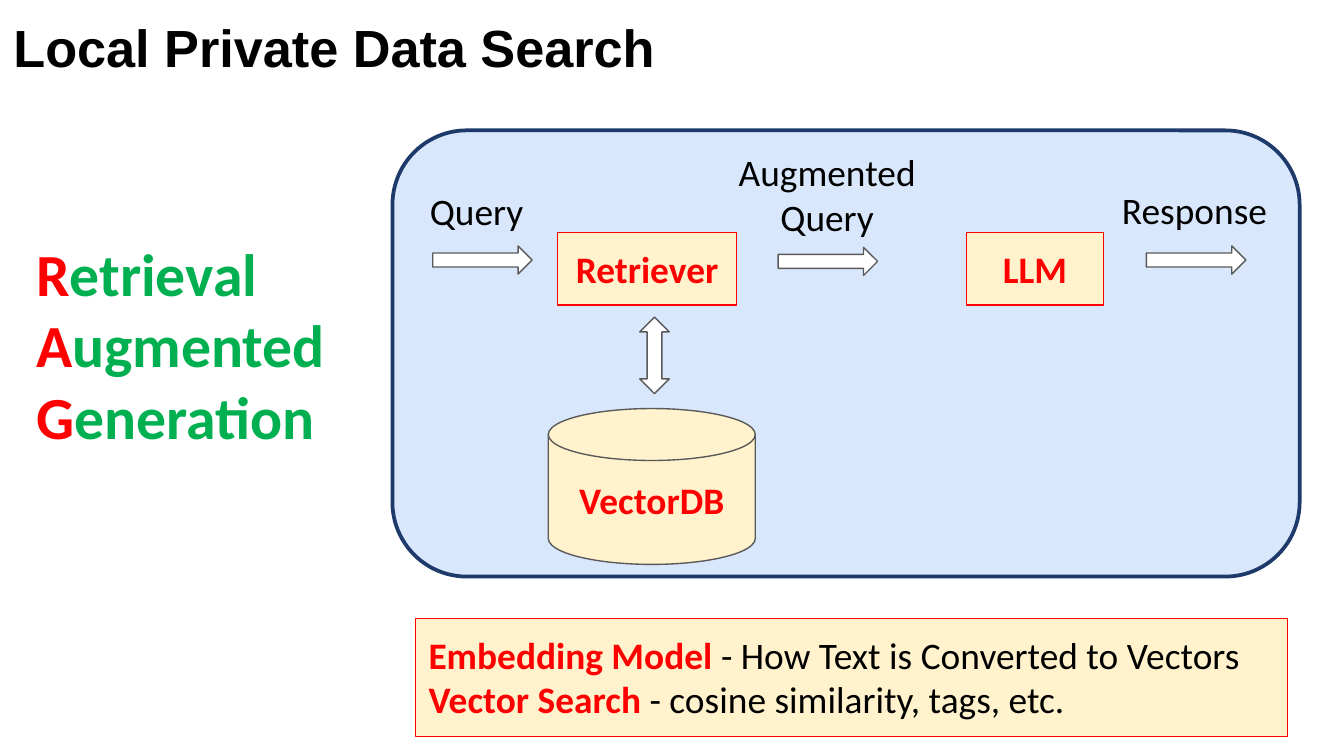
from typing import NamedTuple

from pptx import Presentation
from pptx.dml.color import RGBColor
from pptx.enum.shapes import MSO_SHAPE
from pptx.enum.text import MSO_ANCHOR, PP_ALIGN
from pptx.util import Inches, Pt

COLORS = {
    "black": "000000", "white": "FFFFFF", "red": "FF0000", "green": "00B050",
    "panel": "D9E7FD", "navy": "1D3A6B", "cream": "FFF2CC", "gray": "595959",
}


class Box(NamedTuple):
    left: float
    top: float
    width: float
    height: float

    def emu(self) -> list:
        return [Inches(v) for v in self]


class Run(NamedTuple):
    text: str
    color: str = "black"
    bold: bool = False


class Node(NamedTuple):
    box: Box
    label: str
    kind: MSO_SHAPE = MSO_SHAPE.RECTANGLE
    line: str = "red"


class Label(NamedTuple):
    box: Box
    lines: list
    align: PP_ALIGN = PP_ALIGN.LEFT


def rgb(name: str) -> RGBColor:
    return RGBColor.from_string(COLORS[name])


def write(sp, lines: list, *, size: float = 20, font: str = "Calibri",
          align=PP_ALIGN.LEFT, anchor=MSO_ANCHOR.TOP, inset: float = 0.1) -> None:
    """Fill a shape with paragraphs, each given as a list of runs."""
    tf = sp.text_frame
    tf.word_wrap = True
    tf.vertical_anchor = anchor
    tf.margin_left = tf.margin_right = Inches(0.1)
    tf.margin_top = tf.margin_bottom = Inches(inset)
    for i, runs in enumerate(lines):
        p = tf.add_paragraph() if i else tf.paragraphs[0]
        p.alignment = align
        for run in runs:
            r = p.add_run()
            r.text = run.text
            r.font.name, r.font.size, r.font.bold = font, Pt(size), run.bold
            r.font.color.rgb = rgb(run.color)


def add_shape(s, kind: MSO_SHAPE, box: Box, fill: str, line: str, width: float = 0.75):
    sp = s.shapes.add_shape(kind, *box.emu())
    sp.shadow.inherit = False
    sp.fill.solid()
    sp.fill.fore_color.rgb = rgb(fill)
    sp.line.color.rgb = rgb(line)
    sp.line.width = Pt(width)
    return sp


def add_node(s, node: Node) -> None:
    sp = add_shape(s, node.kind, node.box, "cream", node.line)
    write(sp, [[Run(node.label, "red", True)]], align=PP_ALIGN.CENTER,
          anchor=MSO_ANCHOR.MIDDLE)


def add_label(s, label: Label, size: float = 20) -> None:
    write(s.shapes.add_textbox(*label.box.emu()), label.lines, size=size, align=label.align)


NODES = [
    Node(Box(4.15, 1.73, 1.33, 0.54), "Retriever"),
    Node(Box(7.19, 1.73, 1.02, 0.54), "LLM"),
    Node(Box(4.08, 3.04, 1.54, 1.16), "VectorDB", MSO_SHAPE.FLOWCHART_MAGNETIC_DISK, "gray"),
]
FLOW_ARROWS = [(3.22, 1.83), (5.79, 1.84), (8.53, 1.83)]
LABELS = [
    Label(Box(3.1, 1.3, 1.07, 0.54), [[Run("Query")]]),
    Label(Box(5.39, 1.01, 1.53, 0.88), [[Run("Augmented")], [Run("Query")]], PP_ALIGN.CENTER),
    Label(Box(8.25, 1.29, 1.44, 0.54), [[Run("Response")]]),
]
RAG_WORDS = ["Retrieval", "Augmented", "Generation"]
NOTES = [
    ("Embedding Model", " - How Text is Converted to Vectors"),
    ("Vector Search", " - cosine similarity, tags, etc."),
]


def main() -> None:
    prs = Presentation()
    prs.slide_width = Inches(10)
    prs.slide_height = prs.slide_width * 9 // 16
    s = prs.slides.add_slide(prs.slide_layouts[5])

    title = s.shapes.title
    title.left, title.top, title.width, title.height = Box(0, 0.06, 5.79, 0.57).emu()
    write(title, [[Run("Local Private Data Search", bold=True)]],
          size=28, font="Arial", inset=0.05)

    add_shape(s, MSO_SHAPE.ROUNDED_RECTANGLE, Box(2.92, 0.97, 6.75, 3.32), "panel", "navy", 2)
    rag = [[Run(w[0], "red", True), Run(w[1:], "green", True)] for w in RAG_WORDS]
    add_label(s, Label(Box(0.17, 1.66, 2.56, 1.82), rag), size=32)

    for node in NODES:
        add_node(s, node)
    for left, top in FLOW_ARROWS:
        add_shape(s, MSO_SHAPE.RIGHT_ARROW, Box(left, top, 0.74, 0.21), "white", "gray")
    add_shape(s, MSO_SHAPE.UP_DOWN_ARROW, Box(4.76, 2.36, 0.22, 0.57), "white", "gray")
    for label in LABELS:
        add_label(s, label)

    notes = add_shape(s, MSO_SHAPE.RECTANGLE, Box(3.09, 4.6, 6.49, 0.88), "cream", "red")
    write(notes, [[Run(term, "red", True), Run(detail)] for term, detail in NOTES])

    prs.save("out.pptx")


if __name__ == "__main__":
    main()
